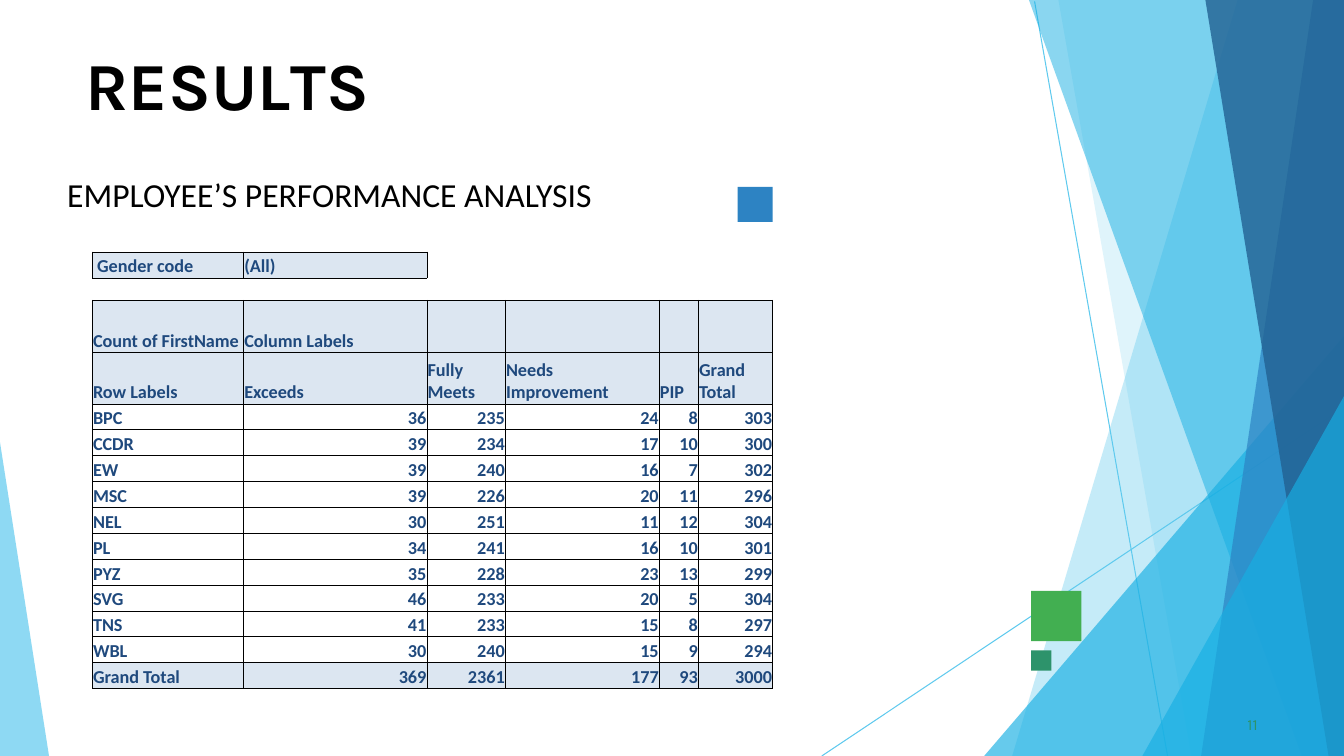
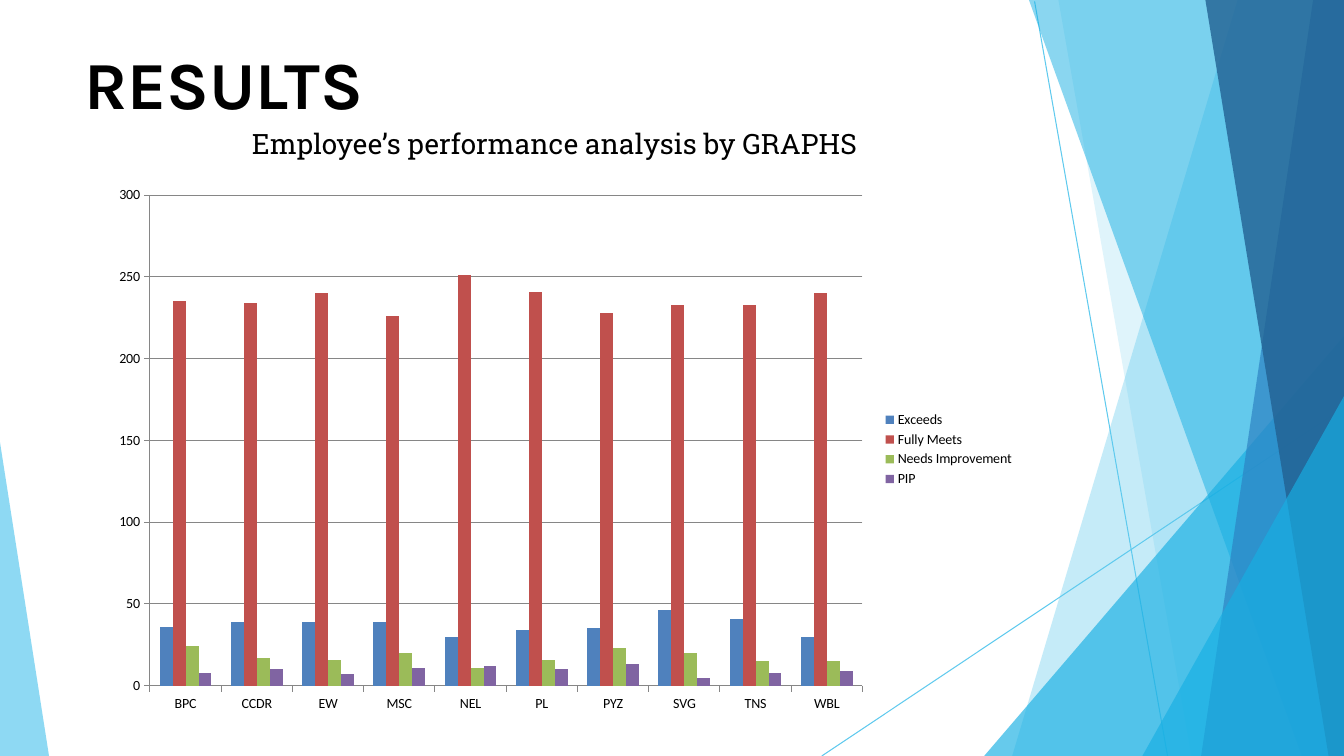
from lxml.etree import SubElement
from pptx import Presentation
from pptx.chart.data import CategoryChartData
from pptx.dml.color import RGBColor
from pptx.enum.chart import XL_CHART_TYPE, XL_LEGEND_POSITION, XL_TICK_MARK
from pptx.enum.shapes import MSO_CONNECTOR, MSO_SHAPE
from pptx.enum.text import MSO_ANCHOR, PP_ALIGN
from pptx.oxml.ns import qn
from pptx.util import Pt

WIDTH, HEIGHT = 960, 540
BLACK, NAVY, HEADER_FILL, GRID = "000000", "1F497D", "DCE6F1", "868686"
SKY, CYAN, BLUE, DEEP_BLUE = "5FCAEE", "17AFE3", "2D83C3", "226192"
GREEN, TEAL = "42AF51", "2D936B"

RAYS = [((739, 1), (834, HEIGHT)), ((WIDTH, 291), (587, HEIGHT))]
RIGHT_BANDS = [
    ([(884, 0), (723, HEIGHT)], SKY, 36),
    ([(756, 0), (851, HEIGHT)], SKY, 20),
    ([(WIDTH, 240), (703, HEIGHT)], CYAN, 66),
    ([(735, 0), (930, HEIGHT)], CYAN, 50),
    ([(938, 0), (858, HEIGHT)], BLUE, 70),
    ([(861, 0), (949, HEIGHT)], DEEP_BLUE, 80),
    ([(WIDTH, 283), (816, HEIGHT)], CYAN, 66),
]
LEFT_WEDGE = [(0, 316), (0, HEIGHT), (35, HEIGHT)]
SQUARES = [(736.5, 422, 36, GREEN), (527, 133.5, 25, BLUE), (736.5, 464.5, 14.5, TEAL)]

TITLE_SPANS = [("R", 0), ("E", -0.4), ("S", 0.1), ("U", -0.3), ("L", -4), ("TS", 0)]
RATINGS = {
    "Exceeds": ([36, 39, 39, 39, 30, 34, 35, 46, 41, 30], "4F81BD"),
    "Fully Meets": ([235, 234, 240, 226, 251, 241, 228, 233, 233, 240], "C0504D"),
    "Needs Improvement": ([24, 17, 16, 20, 11, 16, 23, 20, 15, 15], "9BBB59"),
    "PIP": ([8, 10, 7, 11, 12, 10, 13, 5, 8, 9], "8064A2"),
}
UNITS = ["BPC", "CCDR", "EW", "MSC", "NEL", "PL", "PYZ", "SVG", "TNS", "WBL"]
COLUMN_WIDTHS = [108, 131, 56, 110, 28, 53]
ROW_HEIGHTS = [18.5, 16, 37, 37] + [18.5] * 11


def color(value):
    return RGBColor.from_string(value)


def write(para, text, size, font, ink, bold=False, spacing=0):
    span = para.add_run()
    span.text = text
    span.font.size = Pt(size)
    span.font.name = font
    span.font.bold = bold
    span.font.color.rgb = color(ink)
    if spacing:
        span._r.get_or_add_rPr().set("spc", str(round(spacing * 100)))


def add_text(page, area, spans, top=0, before=0, indent=0, **style):
    box = page.shapes.add_textbox(*map(Pt, area))
    frame = box.text_frame
    frame.word_wrap = True
    frame.margin_left = Pt(indent)
    frame.margin_right = frame.margin_bottom = 0
    frame.margin_top = Pt(top)
    para = frame.paragraphs[0]
    para.space_before = Pt(before)
    for text, spacing in spans:
        write(para, text, spacing=spacing, **style)


def paint(shape, fill, opacity=100):
    shape.shadow.inherit = False
    shape.fill.solid()
    shape.fill.fore_color.rgb = color(fill)
    shape.line.fill.background()
    if opacity < 100:
        hue = shape._element.spPr.find(qn("a:solidFill"))[0]
        SubElement(hue, qn("a:alpha"), val=str(opacity * 1000))


def add_band(page, points, fill, opacity):
    builder = page.shapes.build_freeform(*points[0], scale=Pt(1))
    builder.add_line_segments(points[1:], close=True)
    paint(builder.convert_to_shape(), fill, opacity)


def add_page(deck, title_spans, **title_format):
    page = deck.slides.add_slide(deck.slide_layouts[6])
    for start, end in RAYS:
        ray = page.shapes.add_connector(MSO_CONNECTOR.STRAIGHT, *map(Pt, start + end))
        ray.line.color.rgb = color(SKY)
        ray.line.width = Pt(0.75)
        SubElement(ray._element.spPr, qn("a:effectLst"))
    for edge, fill, opacity in RIGHT_BANDS:
        corners = [(WIDTH, HEIGHT)]
        if edge[0][0] < WIDTH:
            corners.append((WIDTH, 0))
        add_band(page, edge + corners, fill, opacity)
    add_band(page, LEFT_WEDGE, SKY, 70)
    add_text(page, (60, 30, 841, 60), title_spans, size=48, font="Karla",
             ink=BLACK, bold=True, **title_format)
    return page


def pivot_rows():
    columns = [values for values, _ in RATINGS.values()]
    counts = list(zip(*columns))
    totals = [sum(values) for values in columns]
    yield ["\u00a0Gender code".replace("\u00a0", " "), "(All)"] + [""] * 4
    yield [""] * 6
    yield ["Count of FirstName", "Column Labels"] + [""] * 4
    yield ["Row Labels", *RATINGS, "Grand Total"]
    for unit, values in zip(UNITS, counts):
        yield [unit, *values, sum(values)]
    yield ["Grand Total", *totals, sum(totals)]


def set_borders(cell, sides):
    properties = cell._tc.get_or_add_tcPr()
    for place, side in enumerate(("L", "R", "T", "B")):
        edge = properties.makeelement(qn(f"a:ln{side}"), {"w": str(Pt(0.5))})
        properties.insert(place, edge)
        if side in sides:
            fill = SubElement(edge, qn("a:solidFill"))
            SubElement(fill, qn("a:srgbClr"), val=BLACK)
        else:
            SubElement(edge, qn("a:noFill"))


def borders_at(row, column):
    if row == 0 and column > 1:
        return "L" if column == 2 else ""
    if row == 1:
        return "TB" if column < 2 else "B"
    return "LRTB"


def fill_cell(cell, value, row, column):
    cell.margin_left = cell.margin_right = cell.margin_top = Pt(0.5)
    cell.margin_bottom = 0
    cell.vertical_anchor = MSO_ANCHOR.BOTTOM
    para = cell.text_frame.paragraphs[0]
    if value == "":
        SubElement(para._p, qn("a:endParaRPr"), sz="1000")
    else:
        write(para, str(value), 13, "Calibri", NAVY, bold=True)
    if isinstance(value, int):
        para.alignment = PP_ALIGN.RIGHT
    shaded = row in (2, 3, len(ROW_HEIGHTS) - 1) or (row == 0 and column < 2)
    if shaded:
        cell.fill.solid()
        cell.fill.fore_color.rgb = color(HEADER_FILL)
    else:
        cell.fill.background()
    set_borders(cell, borders_at(row, column))


def add_pivot(page):
    area = (66, 180, sum(COLUMN_WIDTHS), sum(ROW_HEIGHTS))
    table = page.shapes.add_table(
        len(ROW_HEIGHTS), len(COLUMN_WIDTHS), *map(Pt, area)).table
    table.first_row = table.horz_banding = False
    for column, width in zip(table.columns, COLUMN_WIDTHS):
        column.width = Pt(width)
    for row, height in zip(table.rows, ROW_HEIGHTS):
        row.height = Pt(height)
    for row, values in enumerate(pivot_rows()):
        for column, value in enumerate(values):
            fill_cell(table.cell(row, column), value, row, column)


def add_ratings_chart(page):
    data = CategoryChartData()
    data.categories = UNITS
    for name, (values, _) in RATINGS.items():
        data.add_series(name, values)
    chart = page.shapes.add_chart(
        XL_CHART_TYPE.COLUMN_CLUSTERED, Pt(72), Pt(126), Pt(660), Pt(390), data).chart
    chart.has_title = False
    chart.font.size = Pt(10)
    chart.font.name = "Calibri"
    chart.font.color.rgb = color(BLACK)
    chart.has_legend = True
    chart.legend.position = XL_LEGEND_POSITION.RIGHT
    chart.legend.include_in_layout = False
    scale = chart.value_axis
    scale.minimum_scale, scale.maximum_scale, scale.major_unit = 0, 300, 50
    scale.has_major_gridlines = True
    for line in (scale.major_gridlines.format.line, scale.format.line,
                 chart.category_axis.format.line):
        line.color.rgb = color(GRID)
        line.width = Pt(0.75)
    for axis in (scale, chart.category_axis):
        axis.major_tick_mark = XL_TICK_MARK.OUTSIDE
    plot = chart.plots[0]
    plot.gap_width, plot.overlap = 150, 0
    plot.vary_by_categories = False
    for series, (_, fill) in zip(plot.series, RATINGS.values()):
        series.format.fill.solid()
        series.format.fill.fore_color.rgb = color(fill)


def add_table_page(deck):
    page = add_page(deck, TITLE_SPANS, top=1, before=1.1, indent=1)
    for left, top, side, fill in SQUARES:
        square = page.shapes.add_shape(
            MSO_SHAPE.RECTANGLE, Pt(left), Pt(top), Pt(side), Pt(side))
        paint(square, fill)
    add_text(page, (48, 124.5, 480, 29), [("EMPLOYEE’S PERFORMANCE ANALYSIS", 0)],
             size=24, font="Calibri", ink=BLACK)
    add_text(page, (888, 510, 18, 15), [("11", 0.1)], top=1, before=0.6, indent=3,
             size=11, font="Karla", ink=TEAL)
    add_pivot(page)


def add_chart_page(deck):
    page = add_page(deck, [("RESULTS", 0)])
    add_text(page, (180, 90, 684, 54), [("Employee’s performance analysis by GRAPHS", 0)],
             size=20, font="Roboto Slab", ink=BLACK)
    add_ratings_chart(page)


def main():
    deck = Presentation()
    deck.slide_width, deck.slide_height = Pt(WIDTH), Pt(HEIGHT)
    add_table_page(deck)
    add_chart_page(deck)
    deck.save("out.pptx")


if __name__ == "__main__":
    main()
